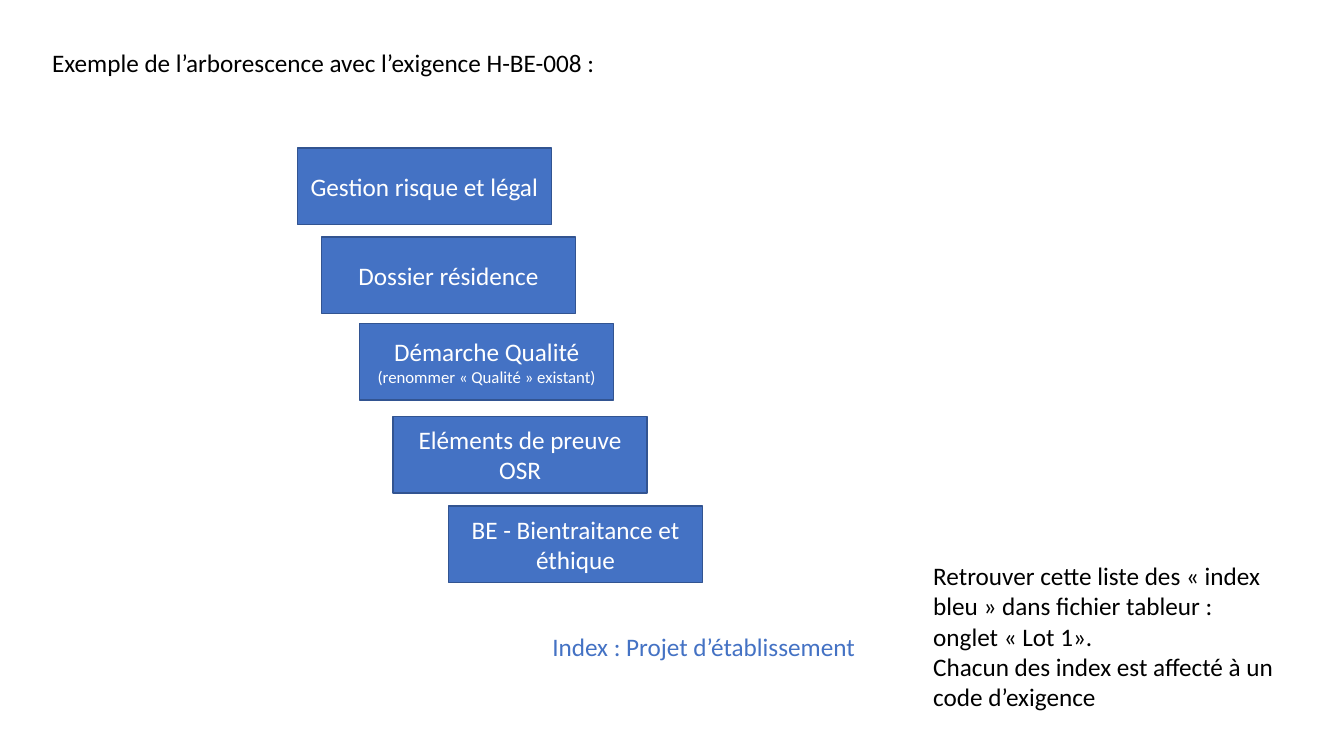
from pptx import Presentation
from pptx.dml.color import RGBColor
from pptx.enum.shapes import MSO_SHAPE
from pptx.enum.text import MSO_ANCHOR, MSO_AUTO_SIZE, PP_ALIGN
from pptx.util import Pt

# Content: each paragraph is (text, size)
BLUE, EDGE, WHITE, BLACK = "4472C4", "325491", "FFFFFF", "000000"
FONT = "Calibri"
BODY, SMALL = 18, 12
LEVEL_SIZE = (181.4, 54.7)

# Folder levels: left, top, paragraphs
LEVELS = [
    (212.4, 105.8, [("Gestion risque et légal", BODY)]),
    (229.7, 169.2, [("Dossier résidence", BODY)]),
    (257, 231.1, [("Démarche Qualité", BODY),
                  ("(renommer « Qualité » existant)", SMALL)]),
    (280.8, 297.4, [("Eléments de preuve OSR", BODY)]),
    (320.4, 361.4, [("BE - Bientraitance et éthique", BODY)]),
]

# Free texts: left, top, width, height, wrap, colour, paragraphs
TEXTS = [
    (30.2, 30.2, 415.4, 29.1, False, BLACK,
     [("Exemple de l’arborescence avec l’exigence H-BE-008 :", BODY)]),
    (387.4, 447.1, 233.3, 29.1, False, BLUE,
     [("Index : Projet d’établissement", BODY)]),
    (659.5, 396.7, 267.1, 116.6, True, BLACK,
     [("Retrouver cette liste des « index bleu » dans fichier tableur :", BODY),
      ("onglet « Lot 1».", BODY),
      ("Chacun des index est affecté à un code d’exigence", BODY)]),
]


def colour(hex_code):
    return RGBColor.from_string(hex_code)


def write(frame, paragraphs, hex_code, align):
    for index, (text, size) in enumerate(paragraphs):
        para = frame.add_paragraph() if index else frame.paragraphs[0]
        para.alignment = align
        span = para.add_run()
        span.text = text
        span.font.name = FONT
        span.font.size = Pt(size)
        span.font.color.rgb = colour(hex_code)


def add_level(page, left, top, paragraphs):
    width, height = LEVEL_SIZE
    box = page.shapes.add_shape(MSO_SHAPE.RECTANGLE, Pt(left), Pt(top), Pt(width), Pt(height))
    box.shadow.inherit = False
    box.fill.solid()
    box.fill.fore_color.rgb = colour(BLUE)
    box.line.color.rgb = colour(EDGE)
    box.line.width = Pt(1)
    box.text_frame.word_wrap = True
    box.text_frame.vertical_anchor = MSO_ANCHOR.MIDDLE
    write(box.text_frame, paragraphs, WHITE, PP_ALIGN.CENTER)


def add_text(page, left, top, width, height, wrap, hex_code, paragraphs):
    box = page.shapes.add_textbox(Pt(left), Pt(top), Pt(width), Pt(height))
    box.text_frame.word_wrap = wrap
    box.text_frame.auto_size = MSO_AUTO_SIZE.SHAPE_TO_FIT_TEXT
    write(box.text_frame, paragraphs, hex_code, PP_ALIGN.LEFT)


def main():
    deck = Presentation()
    deck.slide_width, deck.slide_height = Pt(960), Pt(540)
    page = deck.slides.add_slide(deck.slide_layouts[6])

    # Staircase of folder levels
    for level in LEVELS:
        add_level(page, *level)

    # Title, index and note
    for text in TEXTS:
        add_text(page, *text)

    deck.save("out.pptx")


if __name__ == "__main__":
    main()
